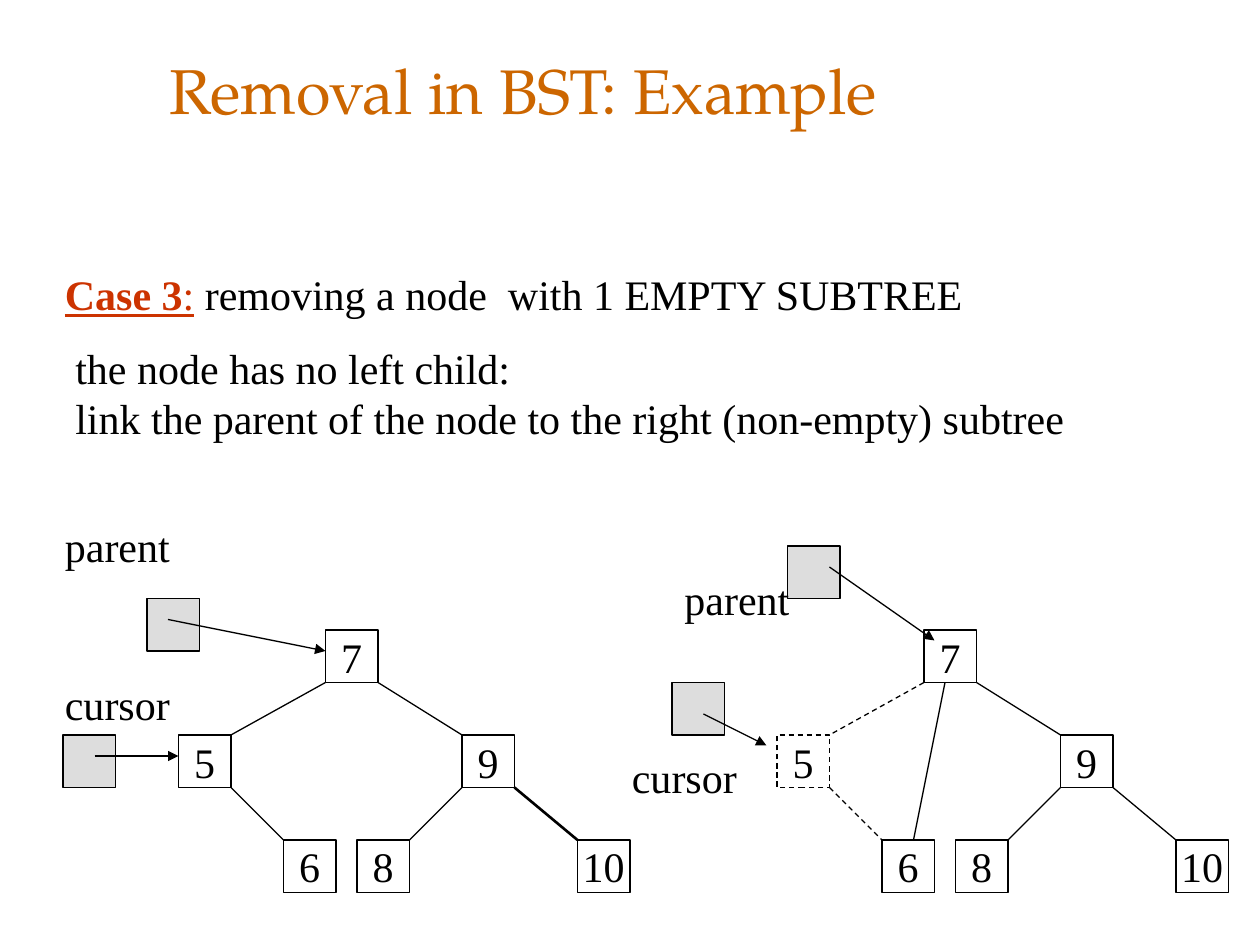
import pptx
import pptx.util
import pptx.dml.color
import pptx.enum.dml
import pptx.enum.shapes
import pptx.enum.text
import pptx.oxml.ns
from lxml import etree

BLACK = pptx.dml.color.RGBColor(0x00, 0x00, 0x00)
GREY = pptx.dml.color.RGBColor(0xDD, 0xDD, 0xDD)
RED = pptx.dml.color.RGBColor(0xCC, 0x33, 0x00)
ORANGE = pptx.dml.color.RGBColor(0xCC, 0x66, 0x00)
BODY_FONT = "Times New Roman"
TITLE_FONT = "TeX Gyre Pagella"
DASH = pptx.enum.dml.MSO_LINE.DASH
MIDDLE = pptx.enum.text.MSO_ANCHOR.MIDDLE

COLUMNS, ROWS = 120, 90
BOX = 5  # side of a node, in grid cells
TREE_SHIFT = 57  # columns between the two trees

deck = pptx.Presentation()
deck.slide_width = pptx.util.Inches(10)
deck.slide_height = pptx.util.Inches(7.5)
cell = deck.slide_width // COLUMNS
slide = deck.slides.add_slide(deck.slide_layouts[6])


def add_line(start, end, width=0.75, dashed=False, arrow=False):
    """Draw a straight line between two (column, row) grid points."""
    line = slide.shapes.add_connector(
        pptx.enum.shapes.MSO_CONNECTOR.STRAIGHT,
        *[value * cell for value in (*start, *end)])
    line.line.color.rgb = BLACK
    line.line.width = pptx.util.Pt(width)
    if dashed:
        line.line.dash_style = DASH
    if arrow:
        etree.SubElement(line.line._get_or_add_ln(),
                         pptx.oxml.ns.qn("a:tailEnd"), type="triangle")
    etree.SubElement(line._element.spPr, pptx.oxml.ns.qn("a:effectLst"))


def add_text(column, row, columns, rows, lines, font=BODY_FONT, size=24, color=BLACK):
    """Add a text box with one paragraph per line and return its frame."""
    frame = slide.shapes.add_textbox(
        column * cell, row * cell, columns * cell, rows * cell).text_frame
    frame.text = "\n".join(lines)
    for paragraph in frame.paragraphs:
        paragraph.font.name = font
        paragraph.font.size = pptx.util.Pt(size)
        paragraph.font.color.rgb = color
    return frame


title = add_text(15, 1, 102, 15, ["Removal in BST: Example"], TITLE_FONT, 36, ORANGE)
title.word_wrap = True
title.vertical_anchor = MIDDLE

case = add_text(5, 25, 88, 6, [""]).paragraphs[0]
for words, bold, marked in [("Case 3", True, True), (":", False, True),
                            (" removing a node  with 1 EMPTY SUBTREE", False, False)]:
    run = case.add_run()
    run.text = words
    run.font.bold = bold
    run.font.underline = marked
    run.font.color.rgb = RED if marked else BLACK

add_text(6, 32, 97, 11, ["the node has no left child:",
                         "link the parent of the node to the right (non-empty) subtree"])

# The tree before and after the removal of node 5
nodes = {7: (31, 60), 5: (17, 70), 9: (44, 70), 6: (27, 80), 8: (34, 80), 10: (55, 80)}
edges = [(7, 5), (7, 9), (5, 6), (9, 8), (9, 10)]
for shift, removed in [(0, None), (TREE_SHIFT, 5)]:
    for upper, lower in edges:
        (upper_col, upper_row), (lower_col, lower_row) = nodes[upper], nodes[lower]
        goes_left = lower_col < upper_col
        start = (upper_col + shift + (0 if goes_left else BOX), upper_row + BOX)
        end = (lower_col + shift + (BOX if goes_left else 0), lower_row)
        heavy = shift == 0 and (upper, lower) == (9, 10)
        add_line(start, end, 1.5 if heavy else 0.75, dashed=removed in (upper, lower))
    for key, (column, row) in nodes.items():
        node = slide.shapes.add_shape(
            pptx.enum.shapes.MSO_SHAPE.RECTANGLE,
            (column + shift) * cell, row * cell, BOX * cell, BOX * cell)
        node.shadow.inherit = False
        node.fill.background()
        node.line.color.rgb = BLACK
        node.line.width = pptx.util.Pt(0.75)
        if key == removed:
            node.line.dash_style = DASH
        node.text_frame.word_wrap = False
        node.text_frame.vertical_anchor = MIDDLE
        node.text_frame.text = str(key)
        value = node.text_frame.paragraphs[0]
        value.alignment = pptx.enum.text.PP_ALIGN.CENTER
        value.font.name = BODY_FONT
        value.font.size = pptx.util.Pt(24)
        value.font.color.rgb = BLACK

# New link from node 7 straight to node 6
add_line((90, 65), (87, 80))

# Pointer variables: label, label corner, box corner, arrow start, arrow end
pointers = [
    ("parent", (5, 49), (14, 57), (16, 59), (31, 62)),
    ("cursor", (5, 64), (6, 70), (9, 72), (17, 72)),
    ("parent", (64, 54), (75, 52), (79, 54), (89, 61)),
    ("cursor", (59, 71), (64, 65), (67, 68), (73, 71)),
]
for label, label_corner, (column, row), start, end in pointers:
    pointer = slide.shapes.add_shape(
        pptx.enum.shapes.MSO_SHAPE.RECTANGLE,
        column * cell, row * cell, BOX * cell, BOX * cell)
    pointer.shadow.inherit = False
    pointer.fill.solid()
    pointer.fill.fore_color.rgb = GREY
    pointer.line.color.rgb = BLACK
    pointer.line.width = pptx.util.Pt(0.75)
    add_text(*label_corner, 12.4, 6, [label])
    add_line(start, end, arrow=True)

deck.save("out.pptx")
